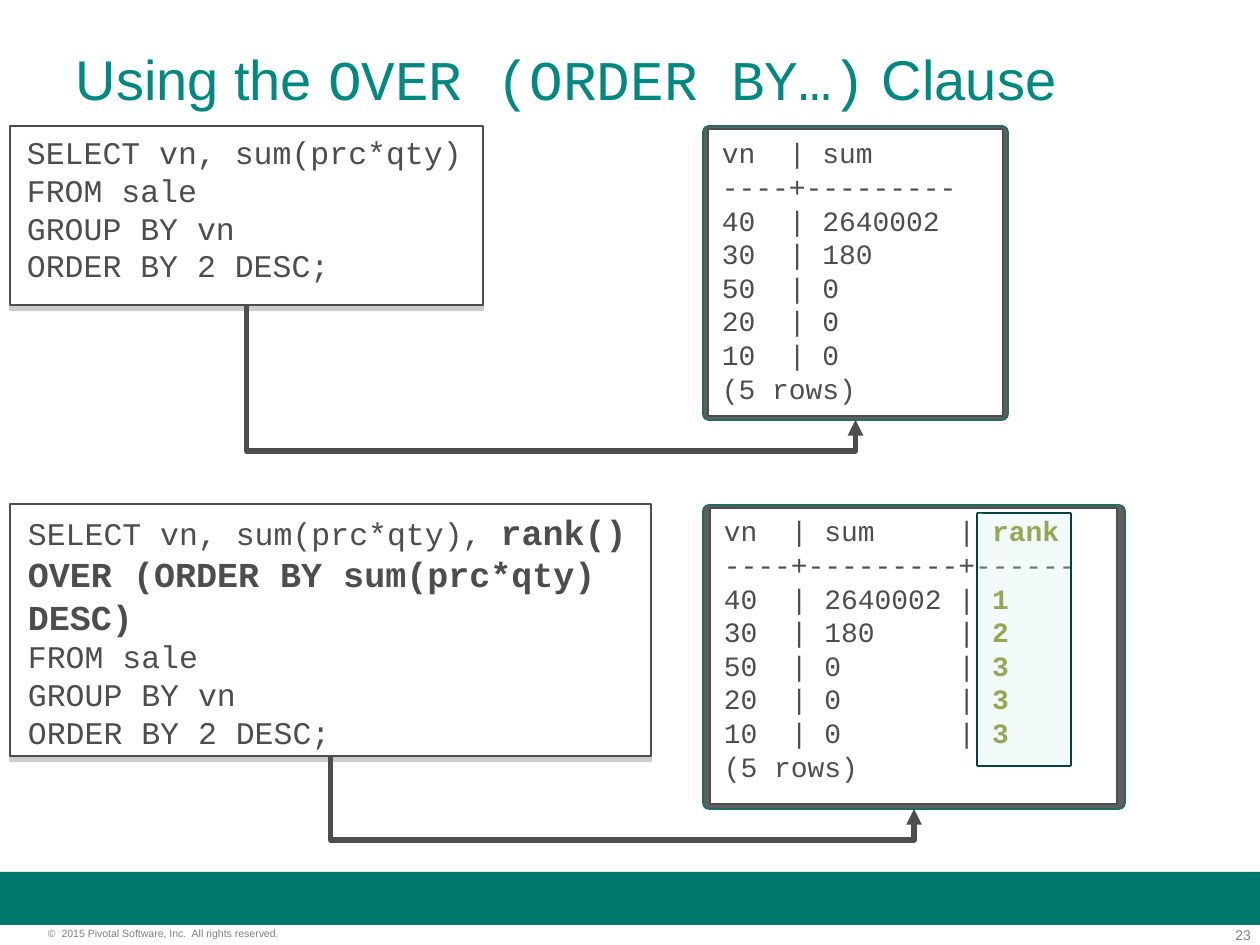
import pptx
import pptx.util
import pptx.dml.color
import pptx.enum.shapes
import pptx.enum.text
import pptx.oxml
import pptx.oxml.ns
from lxml import etree

RGB = pptx.dml.color.RGBColor
SHAPE = pptx.enum.shapes.MSO_SHAPE
ALIGN = pptx.enum.text.PP_ALIGN
Pt = pptx.util.Pt
qn = pptx.oxml.ns.qn

WHITE = RGB(0xFF, 0xFF, 0xFF)
INK = RGB(0x4D, 0x4D, 0x4D)
GRAY = RGB(0x7F, 0x7F, 0x7F)
BAND = RGB(0x00, 0x78, 0x6E)
TEAL = RGB(0x00, 0x88, 0x81)
FRAME = RGB(0x5F, 0x5F, 0x5F)
EDGE = RGB(0x23, 0x6A, 0x64)
OLIVE = RGB(0x82, 0x8F, 0x23)
MINT = RGB(0xD1, 0xEF, 0xEC)
DARK = RGB(0x00, 0x44, 0x40)
SANS, MONO = "Arial", "Courier New"

TITLE = [("Using the ", SANS), ("OVER (ORDER BY…)", MONO), (" Clause", SANS)]
FOOT = [
    ((48, 927, 314, 13), "©  2015 Pivotal Software, Inc.  All rights reserved.", 6, ALIGN.LEFT),
    ((1178, 927, 73, 16), "23", 8, ALIGN.RIGHT),
]
TAIL = [("FROM sale", ""), ("GROUP BY vn", ""), ("ORDER BY 2 DESC;", "")]
PAIRS = [
    {
        "panel": (10, 126, 473, 179),
        "query": (14, 127, 464, 164),
        "code": [("SELECT vn, sum(prc*qty)", "")] + TAIL,
        "frame": (703, 126, 305, 294),
        "sheet": (708, 129, 295, 287),
        "result": (709, 130, 291, 282),
        "rows": [
            ("vn  | sum", ""),
            ("----+---------", ""),
            ("40  | 2640002", ""),
            ("30  | 180", ""),
            ("50  | 0", ""),
            ("20  | 0", ""),
            ("10  | 0", ""),
            ("(5 rows)", ""),
        ],
        "bend": 451,
    },
    {
        "panel": (10, 504, 641, 252),
        "query": (15, 505, 629, 252),
        "code": [
            ("SELECT vn, sum(prc*qty), ", "rank()"),
            ("", "OVER (ORDER BY sum(prc*qty) DESC)"),
        ] + TAIL,
        "frame": (703, 505, 422, 304),
        "sheet": (710, 508, 407, 296),
        "result": (711, 508, 403, 282),
        "rows": [
            ("vn  | sum     | ", "rank"),
            ("----+---------+------", ""),
            ("40  | 2640002 | ", "1"),
            ("30  | 180     | ", "2"),
            ("50  | 0       | ", "3"),
            ("20  | 0       | ", "3"),
            ("10  | 0       | ", "3"),
            ("(5 rows)", ""),
        ],
        "bend": 840,
    },
]
MARK = (977, 513, 94, 253)


def px(n):
    return round(n * 914400 / 126)


def style(font, name, size, color):
    font.name, font.size = name, Pt(size)
    font.color.rgb = color


def block(kind, box, fill, line=None):
    shape = slide.shapes.add_shape(kind, *map(px, box))
    shape.shadow.inherit = False
    shape.fill.solid()
    shape.fill.fore_color.rgb = fill
    if line is None:
        shape.line.fill.background()
    else:
        shape.line.color.rgb = line
        shape.line.width = Pt(1)
    return shape


def label(box, side=0, top=0):
    frame = slide.shapes.add_textbox(*map(px, box)).text_frame
    frame.word_wrap = True
    frame.margin_left = frame.margin_right = px(side)
    frame.margin_top, frame.margin_bottom = px(top), 0
    return frame


def listing(box, lines, size, bold_size, bold_color):
    frame = label(box, 13, 6)
    for i, (plain, strong) in enumerate(lines):
        para = frame.add_paragraph() if i else frame.paragraphs[0]
        style(para.font, MONO, size, INK)
        if plain:
            para.add_run().text = plain
        if strong:
            run = para.add_run()
            run.text = strong
            style(run.font, MONO, bold_size, bold_color)
            run.font.bold = True


def drop(shape):
    effects = shape._element.spPr.find(qn("a:effectLst"))
    cast = etree.SubElement(effects, qn("a:outerShdw"), dist=str(Pt(3)), dir="5400000")
    color = etree.SubElement(cast, qn("a:srgbClr"), val="808080")
    etree.SubElement(color, qn("a:alpha"), val="40000")


def elbow(start, end, bend):
    x1, y1 = start.left + start.width // 2, start.top + start.height
    x2, y2 = end.left + end.width // 2, end.top + end.height
    wide, tall = x2 - x1, y2 - y1
    link = slide.shapes.add_connector(pptx.enum.shapes.MSO_CONNECTOR.ELBOW, x1, y1, x2, y2)
    link.begin_connect(start, 2)
    link.end_connect(end, 2)
    link.left, link.top = (x1 + x2 - tall) // 2, (y1 + y2 - wide) // 2
    link.width, link.height = tall, wide
    props = link._element.spPr
    turn = props.find(qn("a:xfrm"))
    turn.set("rot", "16200000")
    turn.set("flipH", "1")
    guides = props.find(qn("a:prstGeom")).get_or_add_avLst()
    ratio = round((px(bend) - y1) / tall * 100000)
    etree.SubElement(guides, qn("a:gd"), name="adj1", fmla=f"val {ratio}")
    link.line.color.rgb = INK
    link.line.width = Pt(3)
    etree.SubElement(link.line._get_or_add_ln(), qn("a:tailEnd"), type="triangle")
    etree.SubElement(props, qn("a:effectLst"))


deck = pptx.Presentation()
deck.slide_width, deck.slide_height = px(1260), px(945)
slide = deck.slides.add_slide(deck.slide_layouts[5])

block(SHAPE.RECTANGLE, (0, 872, 1260, 53), BAND)
for box, text, size, align in FOOT:
    para = label(box).paragraphs[0]
    para.text, para.alignment = text, align
    style(para.font, SANS, size, GRAY)

title = slide.shapes.title
title.left, title.top, title.width, title.height = map(px, (63, 38, 1134, 158))
head = title.text_frame
head.auto_size = pptx.enum.text.MSO_AUTO_SIZE.NONE
head.vertical_anchor = pptx.enum.text.MSO_ANCHOR.TOP
head.margin_top = px(6)
head.paragraphs[0].alignment = ALIGN.LEFT
for text, name in TITLE:
    run = head.paragraphs[0].add_run()
    run.text = text
    style(run.font, name, 32, TEAL)

ends = []
for pair in PAIRS:
    panel = block(SHAPE.RECTANGLE, pair["panel"], WHITE, INK)
    drop(panel)
    listing(pair["query"], pair["code"], 18, 20, INK)
    frame = block(SHAPE.ROUNDED_RECTANGLE, pair["frame"], FRAME, EDGE)
    frame.adjustments[0] = 0.02
    block(SHAPE.RECTANGLE, pair["sheet"], WHITE, INK)
    listing(pair["result"], pair["rows"], 16, 16, OLIVE)
    ends.append((panel, frame, pair["bend"]))

mark = block(SHAPE.ROUNDED_RECTANGLE, MARK, MINT, DARK)
mark.adjustments[0] = 0.01
tint = mark._element.spPr.find(qn("a:solidFill"))[0]
etree.SubElement(tint, qn("a:alpha"), val="25000")

for panel, frame, bend in ends:
    elbow(panel, frame, bend)

deck.save("out.pptx")
